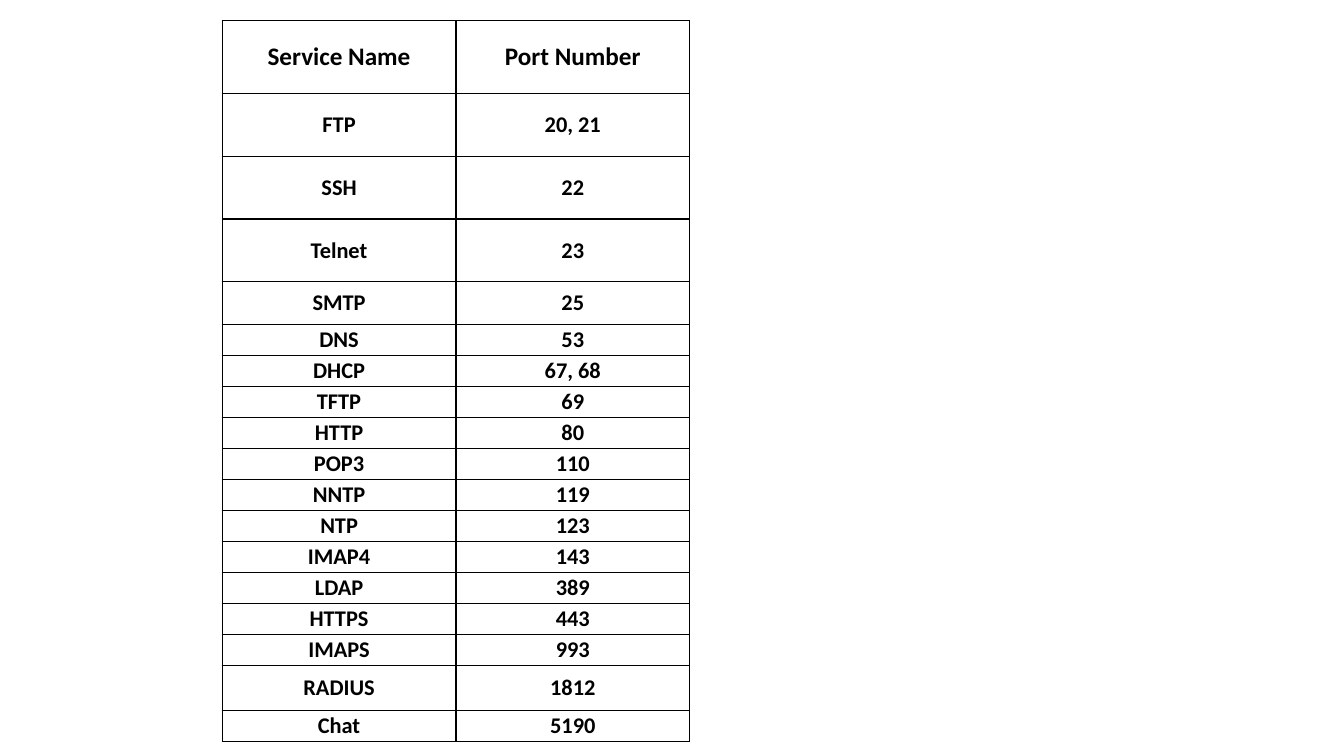
"""Build a slide with a table of network services and their port numbers."""
from lxml.etree import SubElement
from pptx import Presentation
from pptx.dml.color import RGBColor
from pptx.enum.text import MSO_ANCHOR, PP_ALIGN
from pptx.oxml.ns import qn
from pptx.util import Cm, Pt

COLORS = {"ink": "000000", "paper": "FFFFFF"}
FONT = "Calibri"
HEADER = ("Service Name", "Port Number")
SERVICES = [
    ("FTP", "20, 21"),
    ("SSH", "22"),
    ("Telnet", "23"),
    ("SMTP", "25"),
    ("DNS", "53"),
    ("DHCP", "67, 68"),
    ("TFTP", "69"),
    ("HTTP", "80"),
    ("POP3", "110"),
    ("NNTP", "119"),
    ("NTP", "123"),
    ("IMAP4", "143"),
    ("LDAP", "389"),
    ("HTTPS", "443"),
    ("IMAPS", "993"),
    ("RADIUS", "1812"),
    ("Chat", "5190"),
]
HEADER_HEIGHT, ROW_HEIGHT = 1.84, 0.78
TALL_ROWS = {"FTP": 1.58, "SSH": 1.58, "Telnet": 1.58, "SMTP": 1.08, "RADIUS": 1.15}
LEFT, TOP, COLUMN_WIDTH = 5.6, 0.52, 5.89
SIDE_INSET, END_INSET = Cm(0.03), Cm(0.04)


def add_borders(cell):
    """Draw a thin line on each side of a cell."""
    properties = cell._tc.get_or_add_tcPr()
    for side in ("lnL", "lnR", "lnT", "lnB"):
        line = SubElement(properties, qn(f"a:{side}"), w=str(Pt(1)))
        fill = SubElement(line, qn("a:solidFill"))
        SubElement(fill, qn("a:srgbClr"), val=COLORS["ink"])


def fill_cell(cell, text, size):
    """Format a cell and write its centred bold text."""
    add_borders(cell)
    cell.fill.solid()
    cell.fill.fore_color.rgb = RGBColor.from_string(COLORS["paper"])
    cell.vertical_anchor = MSO_ANCHOR.MIDDLE
    cell.margin_left = cell.margin_right = SIDE_INSET
    cell.margin_top = cell.margin_bottom = END_INSET
    para = cell.text_frame.paragraphs[0]
    para.alignment = PP_ALIGN.CENTER
    span = para.add_run()
    span.text = text
    span.font.name = FONT
    span.font.size = Pt(size)
    span.font.bold = True
    span.font.color.rgb = RGBColor.from_string(COLORS["ink"])


deck = Presentation()
deck.slide_width, deck.slide_height = Cm(33.87), Cm(19.05)
page = deck.slides.add_slide(deck.slide_layouts[6])

rows = [HEADER, *SERVICES]
heights = [HEADER_HEIGHT] + [TALL_ROWS.get(name, ROW_HEIGHT) for name, _ in SERVICES]
table = page.shapes.add_table(
    len(rows), len(HEADER), Cm(LEFT), Cm(TOP),
    Cm(COLUMN_WIDTH * len(HEADER)), Cm(sum(heights)),
).table
for column in table.columns:
    column.width = Cm(COLUMN_WIDTH)
for index, (texts, height) in enumerate(zip(rows, heights)):
    table.rows[index].height = Cm(height)
    for cell, text in zip(table.rows[index].cells, texts):
        fill_cell(cell, text, 16 if index else 18)

deck.save("out.pptx")
